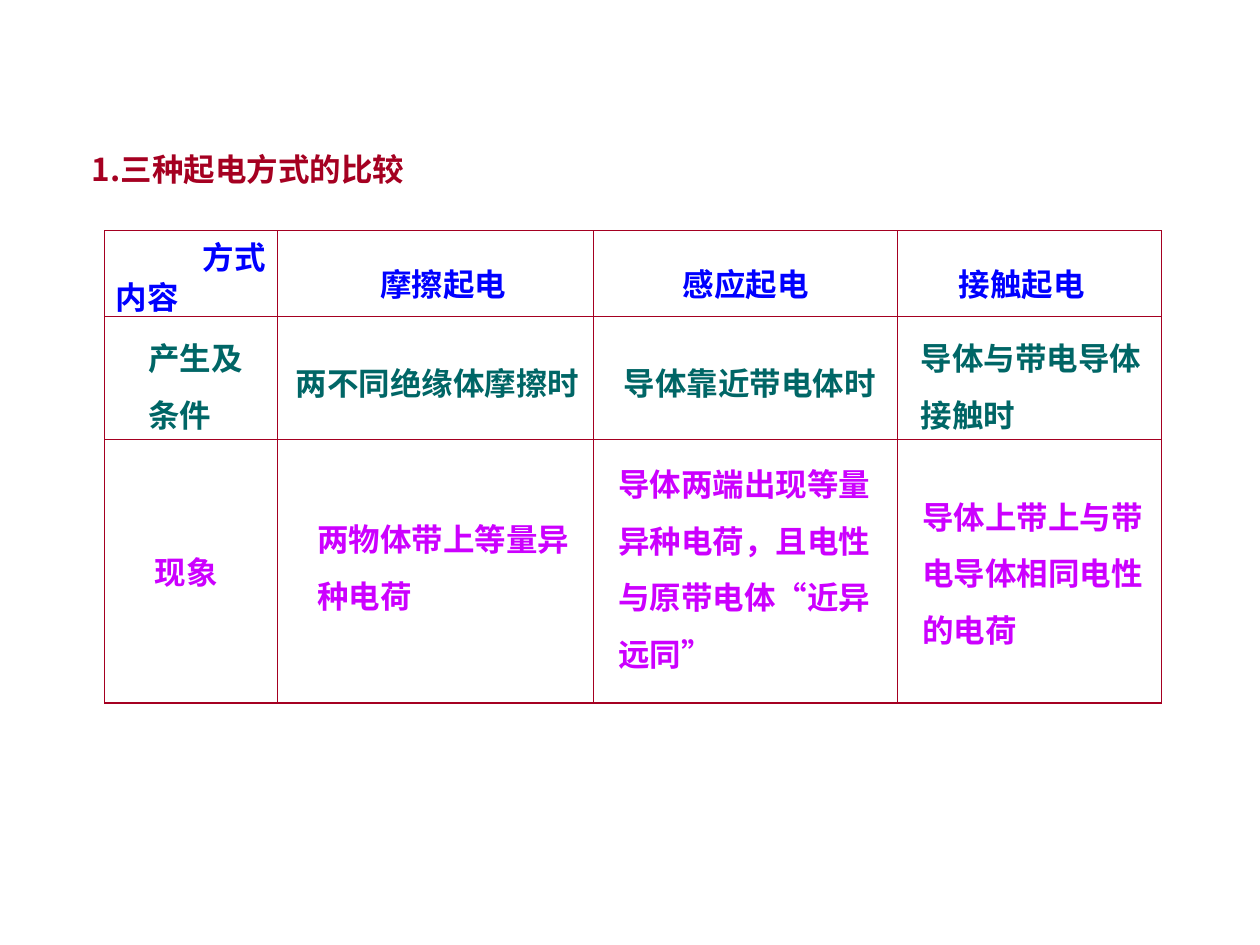
from dataclasses import dataclass

from lxml.etree import SubElement
from pptx import Presentation
from pptx.dml.color import RGBColor as RGB
from pptx.enum.text import MSO_ANCHOR as ANCHOR, MSO_AUTO_SIZE as AUTO, PP_ALIGN as ALIGN
from pptx.oxml.ns import qn
from pptx.util import Inches, Pt


@dataclass(frozen=True)
class Theme:
    font: str = "Noto Sans CJK SC"
    size: int = 18
    spacing: float = 1.5
    rule: str = "A50021"
    heading: str = "0000FF"
    condition: str = "006666"
    phenomenon: str = "CC00FF"
    inner_line: float = 0.45
    outer_line: float = 0.75


THEME = Theme()


def write_lines(sp, box, lines, color):
    """Place a text shape and fill it with one paragraph per line."""
    sp.left, sp.top, sp.width, sp.height = map(Inches, box)
    tf = sp.text_frame
    frame_format = dict(word_wrap=True, auto_size=AUTO.NONE, vertical_anchor=ANCHOR.TOP,
                        margin_left=Inches(0.1), margin_right=Inches(0.1),
                        margin_top=Inches(0.05), margin_bottom=Inches(0.05))
    for name, value in frame_format.items():
        setattr(tf, name, value)
    font_format = dict(name=THEME.font, size=Pt(THEME.size), bold=True)
    for i, line in enumerate(lines):
        p = tf.add_paragraph() if i else tf.paragraphs[0]
        p.alignment = ALIGN.LEFT
        p.line_spacing = THEME.spacing
        p.space_before = Pt(0)
        r = p.add_run()
        r.text = line
        for name, value in font_format.items():
            setattr(r.font, name, value)
        r.font.color.rgb = RGB.from_string(color)
        SubElement(r.font._element, qn("a:ea"), typeface=THEME.font)


def set_border(cell, side, width):
    ln = SubElement(cell._tc.get_or_add_tcPr(), qn(f"a:ln{side}"), w=str(Pt(width)))
    fill = SubElement(ln, qn("a:solidFill"))
    SubElement(fill, qn("a:srgbClr"), val=THEME.rule)


prs = Presentation()
prs.slide_width, prs.slide_height = Inches(10), Inches(7.5)
s = prs.slides.add_slide(prs.slide_layouts[5])

write_lines(s.shapes.title, (0.63, 0.99, 3.56, 0.55), ["1.三种起电方式的比较"], THEME.rule)

# Ruled grid
col_widths = [1.37, 2.51, 2.41, 2.1]
row_heights = [0.68, 0.98, 2.09]
n_rows, n_cols = len(row_heights), len(col_widths)
table = s.shapes.add_table(n_rows, n_cols, Inches(0.83), Inches(1.83),
                           Inches(sum(col_widths)), Inches(sum(row_heights))).table
table.first_row = table.horz_banding = False
for column, width in zip(table.columns, col_widths):
    column.width = Inches(width)
for row, height in zip(table.rows, row_heights):
    row.height = Inches(height)
for i in range(n_rows):
    for j in range(n_cols):
        cell = table.cell(i, j)
        on_edge = {"L": j == 0, "R": j == n_cols - 1, "T": i == 0, "B": i == n_rows - 1}
        for side, outer in on_edge.items():
            set_border(cell, side, THEME.outer_line if outer else THEME.inner_line)
        cell.fill.background()

# Labels over the grid, row by row: (left, top, width), lines
label_rows = [
    (THEME.heading, [
        ((1.51, 1.69, 1.21), ["方式"]),
        ((0.82, 2.01, 1.21), ["内容"]),
        ((2.92, 1.9, 1.47), ["摩擦起电"]),
        ((5.32, 1.9, 1.47), ["感应起电"]),
        ((7.51, 1.9, 1.47), ["接触起电"]),
    ]),
    (THEME.condition, [
        ((1.08, 2.49, 1.47), ["产生及", "条件"]),
        ((2.25, 2.69, 2.83), ["两不同绝缘体摩擦时"]),
        ((4.85, 2.69, 2.49), ["导体靠近带电体时"]),
        ((7.21, 2.49, 2.43), ["导体与带电导体", "接触时"]),
    ]),
    (THEME.phenomenon, [
        ((1.13, 4.19, 1.67), ["现象"]),
        ((2.42, 3.93, 2.78), ["两物体带上等量异", "种电荷"]),
        ((4.81, 3.49, 3.01), ["导体两端出现等量", "异种电荷，且电性", "与原带电体“近异", "远同”"]),
        ((7.22, 3.75, 2.58), ["导体上带上与带", "电导体相同电性", "的电荷"]),
    ]),
]
for color, labels in label_rows:
    for place, lines in labels:
        height = 0.1 + 0.45 * len(lines)
        sp = s.shapes.add_textbox(0, 0, 0, 0)
        write_lines(sp, (*place, height), lines, color)

prs.save("out.pptx")
